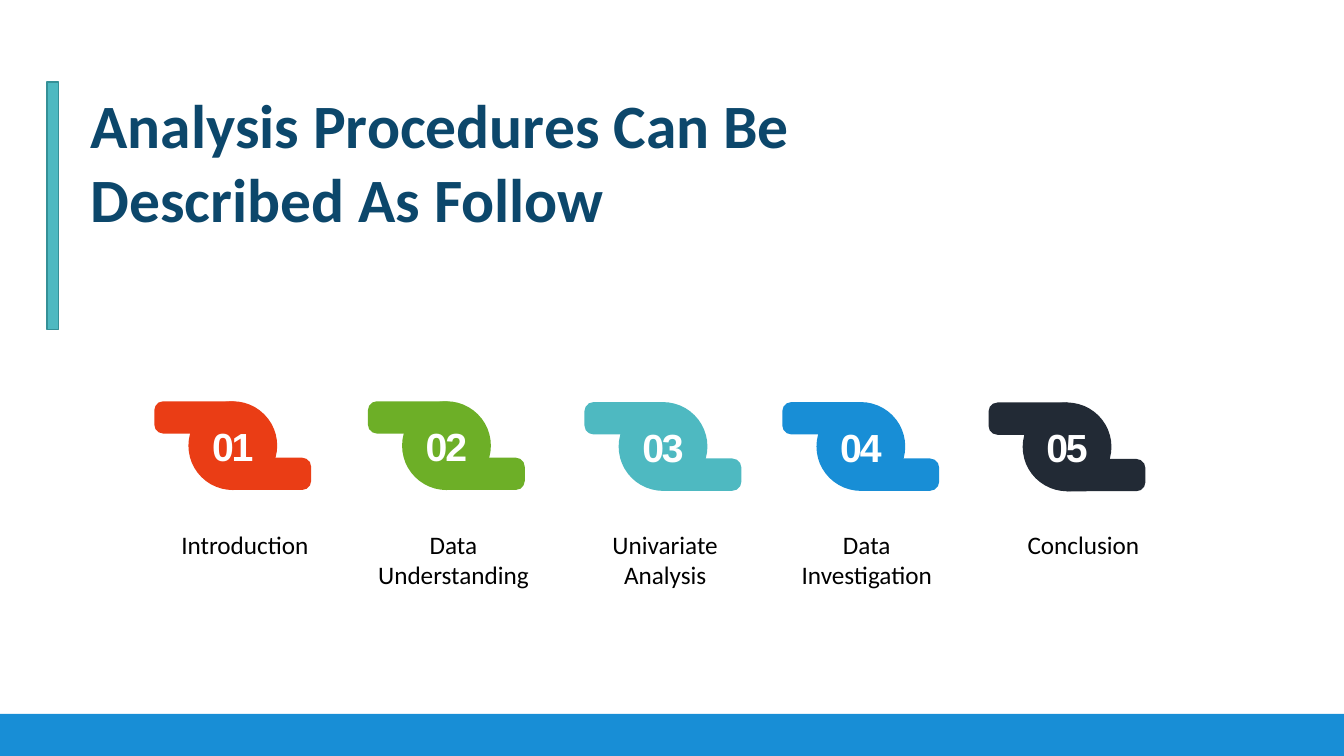
from pptx import Presentation
from pptx import util as u
from pptx.dml.color import RGBColor
from pptx.enum import shapes, text

Pt = u.Pt
SHAPE = shapes.MSO_SHAPE

COLORS = {
    "red": "EA3D15",
    "green": "6DAF27",
    "teal": "4EB9C1",
    "teal_edge": "359097",
    "blue": "188ED6",
    "slate": "222A35",
    "navy": "0C476B",
    "white": "FFFFFF",
    "black": "000000",
}

# badge left, badge top, caption left, colour, caption
STEPS = [
    (110.2, 286.6, 97.2, "red", "Introduction"),
    (262.8, 286.6, 246.2, "green", "Data Understanding"),
    (417.5, 287.2, 397.4, "teal", "Univariate\nAnalysis"),
    (558.8, 287.2, 541.4, "blue", "Data\nInvestigation"),
    (706.1, 287.5, 696.2, "slate", "Conclusion"),
]

ARM_WIDTH, ARM_HEIGHT = 62.6, 23.1
DISC_SIZE = 63.4
DISC_OFFSET = 24.4
LOWER_ARM_OFFSET = 49.5


def rgb(name):
    return RGBColor.from_string(COLORS[name])


def add_block(container, kind, left, top, width, height, color, rounding=None):
    """Add a filled shape without outline to a slide's or group's shapes."""
    shape = container.add_shape(kind, Pt(left), Pt(top), Pt(width), Pt(height))
    shape.shadow.inherit = False
    shape.fill.solid()
    shape.fill.fore_color.rgb = rgb(color)
    shape.line.fill.background()
    if rounding is not None:
        shape.adjustments[0] = rounding
    return shape


def style_paragraph(paragraph, size, color, font, bold=False, centered=True):
    paragraph.font.size = Pt(size)
    paragraph.font.name = font
    paragraph.font.bold = bold
    paragraph.font.color.rgb = rgb(color)
    align = text.PP_ALIGN
    paragraph.alignment = align.CENTER if centered else align.LEFT


def add_text(slide, left, top, width, height, wording, size, color, **style):
    box = slide.shapes.add_textbox(Pt(left), Pt(top), Pt(width), Pt(height))
    frame = box.text_frame
    frame.word_wrap = True
    frame.text = wording
    for paragraph in frame.paragraphs:
        style_paragraph(paragraph, size, color, "Calibri", **style)


def add_badge(slide, left, top, color, number):
    """Add a numbered disc with an arm at its upper left and lower right."""
    group = slide.shapes.add_group_shape().shapes
    lower_top = top + DISC_SIZE - ARM_HEIGHT
    for arm_left, arm_top in ((left + LOWER_ARM_OFFSET, lower_top), (left, top)):
        add_block(group, SHAPE.ROUNDED_RECTANGLE, arm_left, arm_top,
                  ARM_WIDTH, ARM_HEIGHT, color, rounding=0.28)
    disc = add_block(group, SHAPE.ROUNDED_RECTANGLE, left + DISC_OFFSET, top,
                     DISC_SIZE, DISC_SIZE, color, rounding=0.5)
    frame = disc.text_frame
    frame.margin_left = frame.margin_right = 0
    frame.vertical_anchor = text.MSO_ANCHOR.MIDDLE
    frame.text = f"{number:02d}"
    paragraph = frame.paragraphs[0]
    style_paragraph(paragraph, 28, "white", "Arial", bold=True)
    paragraph.runs[0]._r.get_or_add_rPr().set("spc", "-150")


def main():
    presentation = Presentation()
    presentation.slide_width = Pt(960)
    presentation.slide_height = Pt(540)
    slide = presentation.slides.add_slide(presentation.slide_layouts[6])

    for number, (left, top, caption_left, color, caption) in enumerate(STEPS, 1):
        add_badge(slide, left, top, color, number)
        add_text(slide, caption_left, 374.4, 155.5, 51, caption, 18, "black")

    add_block(slide.shapes, SHAPE.RECTANGLE, 0, 510, 960, 30, "blue")
    add_text(slide, 57.6, 58.3, 535.7, 113.8,
             "Analysis Procedures Can Be Described As Follow",
             44, "navy", bold=True, centered=False)
    accent = add_block(slide.shapes, SHAPE.RECTANGLE, 33.6, 58.5, 8.2, 177, "teal")
    accent.line.color.rgb = rgb("teal_edge")
    accent.line.width = Pt(1)

    presentation.save("out.pptx")


if __name__ == "__main__":
    main()
